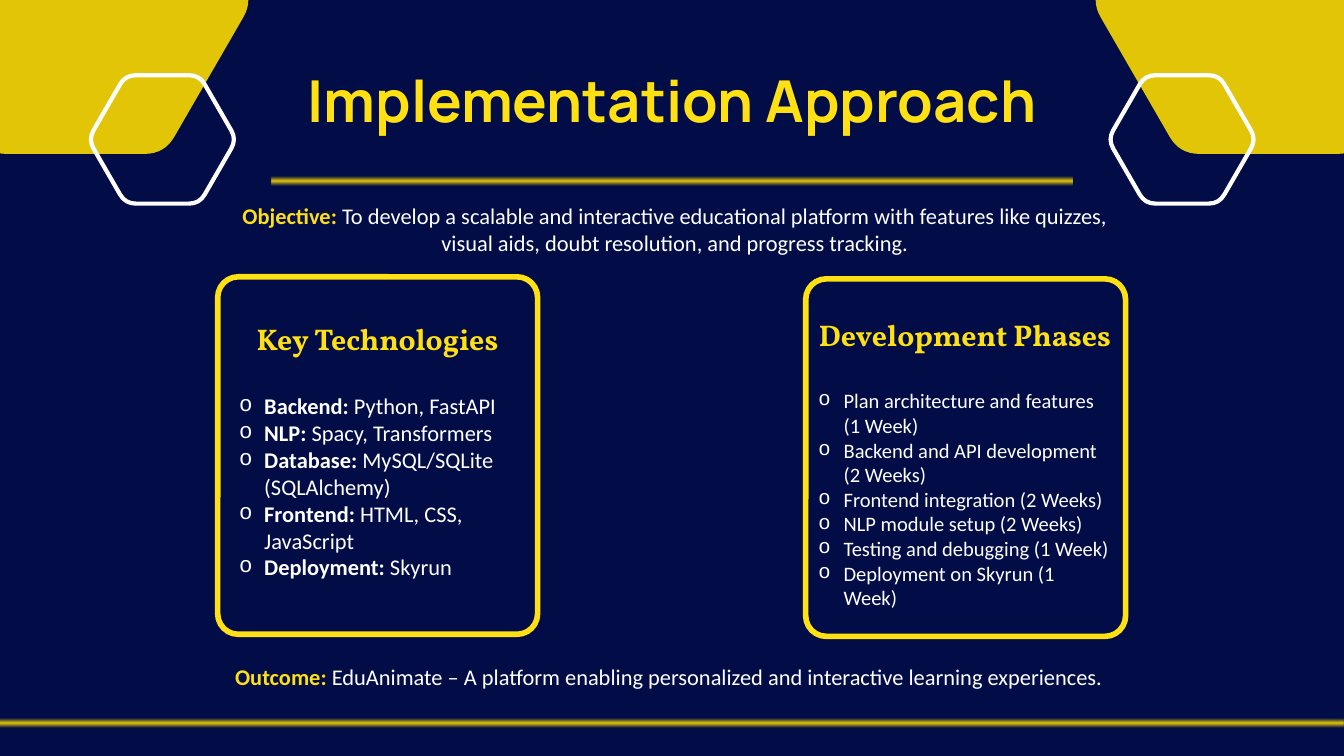
from math import cos, radians, sin
from typing import NamedTuple

from pptx import Presentation
from pptx.dml.color import RGBColor
from pptx.enum.shapes import MSO_SHAPE as Preset
from pptx.enum.text import PP_ALIGN as Align
from pptx.oxml import parse_xml
from pptx.oxml.ns import nsdecls, qn
from pptx.shapes.autoshape import Shape
from pptx.slide import Slide
from pptx.text.text import TextFrame, _Paragraph as Para
from pptx.util import Pt

NAVY, GOLD, YELLOW, WHITE = "020D47", "E2C507", "FFE012", "FFFFFF"
BODY, HEAD, TITLE, MARK = "Calibri", "Vollkorn", "Manrope", "Courier New"


class Hexagon(NamedTuple):
    x: float
    y: float
    size: float
    trim: float  # part of each side cut by the rounded corner
    fill: str = ""
    line: str = ""


class Bar(NamedTuple):
    left: float
    top: float
    width: float


class Piece(NamedTuple):
    text: str
    color: str = WHITE
    bold: bool = False
    size: float = 24
    font: str = BODY


class Card(NamedTuple):
    left: float
    top: float
    text_left: float
    text_top: float
    text_width: float
    title: str
    size: float
    items: list[tuple[str, str]]  # bold label, plain text


HEXES = [
    Hexagon(81, 0, 190.4, 0.112, fill=GOLD),
    Hexagon(1359, 0, 190.4, 0.112, fill=GOLD),
    Hexagon(174, 149.4, 79.4, 0.142, line=WHITE),
    Hexagon(1266.5, 149.4, 79.4, 0.142, line=WHITE),
]
BARS = [Bar(291, 189.6, 858), Bar(0, 769.6, 1440)]
CARDS = [
    Card(233.3, 296.6, 249, 339.8, 311, "Key Technologies", 24, [
        ("Backend:", " Python, FastAPI"),
        ("NLP:", " Spacy, Transformers"),
        ("Database:", " MySQL/SQLite (SQLAlchemy)"),
        ("Frontend:", " HTML, CSS, JavaScript"),
        ("Deployment:", " Skyrun"),
    ]),
    Card(863.3, 298.8, 869.8, 335.5, 328.3, "Development Phases", 22, [
        ("", "Plan architecture and features (1 Week)"),
        ("", "Backend and API development (2 Weeks)"),
        ("", "Frontend integration (2 Weeks)"),
        ("", "NLP module setup (2 Weeks)"),
        ("", "Testing and debugging (1 Week)"),
        ("", "Deployment on Skyrun (1 Week)"),
    ]),
]


def rgb(code: str) -> RGBColor:
    return RGBColor.from_string(code)


def paint(shape: Shape, fill: str, line: str, width: float) -> None:
    shape.shadow.inherit = False
    if fill:
        shape.fill.solid()
        shape.fill.fore_color.rgb = rgb(fill)
    else:
        shape.fill.background()
    if line:
        shape.line.color.rgb = rgb(line)
        shape.line.width = Pt(width)
    else:
        shape.line.fill.background()


def draw_hex(slide: Slide, item: Hexagon) -> None:
    tips = [(item.x + item.size * cos(radians(a)), item.y + item.size * sin(radians(a)))
            for a in range(0, 360, 60)]
    dots = []
    for i, tip in enumerate(tips):
        # Curve start, two handles and curve end of each corner
        for near, cut in ((tips[i - 1], 1), (tips[i - 1], 1 / 3),
                          (tips[(i + 1) % 6], 1 / 3), (tips[(i + 1) % 6], 1)):
            dots.append(tuple(Pt(t + (n - t) * item.trim * cut) for t, n in zip(tip, near)))
    pen = slide.shapes.build_freeform(*dots[0], scale=1.0)
    pen.add_line_segments(dots[1:], close=True)
    shape = pen.convert_to_shape()
    # Turn the three lines of each corner into one curve
    lines = list(shape._element.iter(qn("a:lnTo")))
    for i in range(0, len(lines), 4):
        curve = parse_xml(f'<a:cubicBezTo {nsdecls("a")}/>')
        lines[i].addprevious(curve)
        for line in lines[i:i + 3]:
            curve.append(line[0])
            line.getparent().remove(line)
    paint(shape, item.fill, item.line, 4.5)


def draw_bar(slide: Slide, bar: Bar) -> None:
    shape = slide.shapes.add_shape(
        Preset.RECTANGLE, Pt(bar.left), Pt(bar.top), Pt(bar.width), Pt(9.6))
    paint(shape, "", "", 0)
    # Gold that fades out towards the top and bottom edges
    stops = "".join(
        f'<a:gs pos="{pos}"><a:srgbClr val="{GOLD}"><a:alpha val="{alpha}"/></a:srgbClr></a:gs>'
        for pos, alpha in ((0, 0), (50000, 100000), (100000, 0)))
    fade = parse_xml(f'<a:gradFill {nsdecls("a")} rotWithShape="1"><a:gsLst>{stops}</a:gsLst>'
                     '<a:lin ang="5400000" scaled="0"/></a:gradFill>')
    props = shape._element.spPr
    props.replace(props.find(qn("a:noFill")), fade)


def add_box(slide: Slide, left: float, top: float, width: float, height: float) -> TextFrame:
    frame = slide.shapes.add_textbox(Pt(left), Pt(top), Pt(width), Pt(height)).text_frame
    frame.word_wrap = True
    return frame


def write(para: Para, *pieces: Piece) -> None:
    for piece in pieces:
        run = para.add_run()
        run.text = piece.text
        font = run.font
        font.name, font.size, font.bold = piece.font, Pt(piece.size), piece.bold
        font.color.rgb = rgb(piece.color)


def add_bullet(para: Para) -> None:
    props = para._p.get_or_add_pPr()
    props.set("marL", str(Pt(27)))
    props.set("indent", str(Pt(-27)))
    props.append(parse_xml(f'<a:buFont {nsdecls("a")} typeface="{MARK}"/>'))
    props.append(parse_xml(f'<a:buChar {nsdecls("a")} char="o"/>'))


def draw_card(slide: Slide, card: Card) -> None:
    edge = slide.shapes.add_shape(
        Preset.ROUNDED_RECTANGLE, Pt(card.left), Pt(card.top), Pt(342.7), Pt(383))
    edge.adjustments[0] = 0.064
    paint(edge, "", YELLOW, 6)

    frame = add_box(slide, card.text_left, card.text_top, card.text_width, 300)
    head = frame.paragraphs[0]
    head.alignment = Align.CENTER
    write(head, Piece(card.title, YELLOW, True, 32, HEAD))
    for i, (label, text) in enumerate(card.items):
        para = frame.add_paragraph()
        add_bullet(para)
        if i == 0:
            para.space_before = Pt(38.5)
        if label:
            write(para, Piece(label, bold=True, size=card.size))
        write(para, Piece(text, size=card.size))


def main() -> None:
    deck = Presentation()
    deck.slide_width, deck.slide_height = Pt(1440), Pt(810)
    slide = deck.slides.add_slide(deck.slide_layouts[6])
    slide.background.fill.solid()
    slide.background.fill.fore_color.rgb = rgb(NAVY)

    # Title
    frame = add_box(slide, 273, 75.6, 894, 74)
    frame.margin_left = frame.margin_right = frame.margin_top = frame.margin_bottom = 0
    para = frame.paragraphs[0]
    para.alignment, para.line_spacing = Align.CENTER, Pt(68.1)
    write(para, Piece("Implementation Approach", YELLOW, True, 61.9, TITLE))

    # Corner hexagons and gold bars
    for item in HEXES:
        draw_hex(slide, item)
    for bar in BARS:
        draw_bar(slide, bar)

    # Objective, with an en space after the label
    para = add_box(slide, 227.5, 213, 990.7, 65.5).paragraphs[0]
    para.alignment = Align.CENTER
    write(para, Piece("Objective: ", YELLOW, True),
          Piece("To develop a scalable and interactive educational platform with features "
                "like quizzes, visual aids, doubt resolution, and progress tracking."))

    # Cards
    for card in CARDS:
        draw_card(slide, card)

    # Outcome, with an en space after the label
    para = add_box(slide, 244.8, 707, 951.8, 36).paragraphs[0]
    write(para, Piece("Outcome: ", YELLOW, True),
          Piece("EduAnimate – A platform enabling personalized and interactive "
                "learning experiences."))

    deck.save("out.pptx")


if __name__ == "__main__":
    main()
